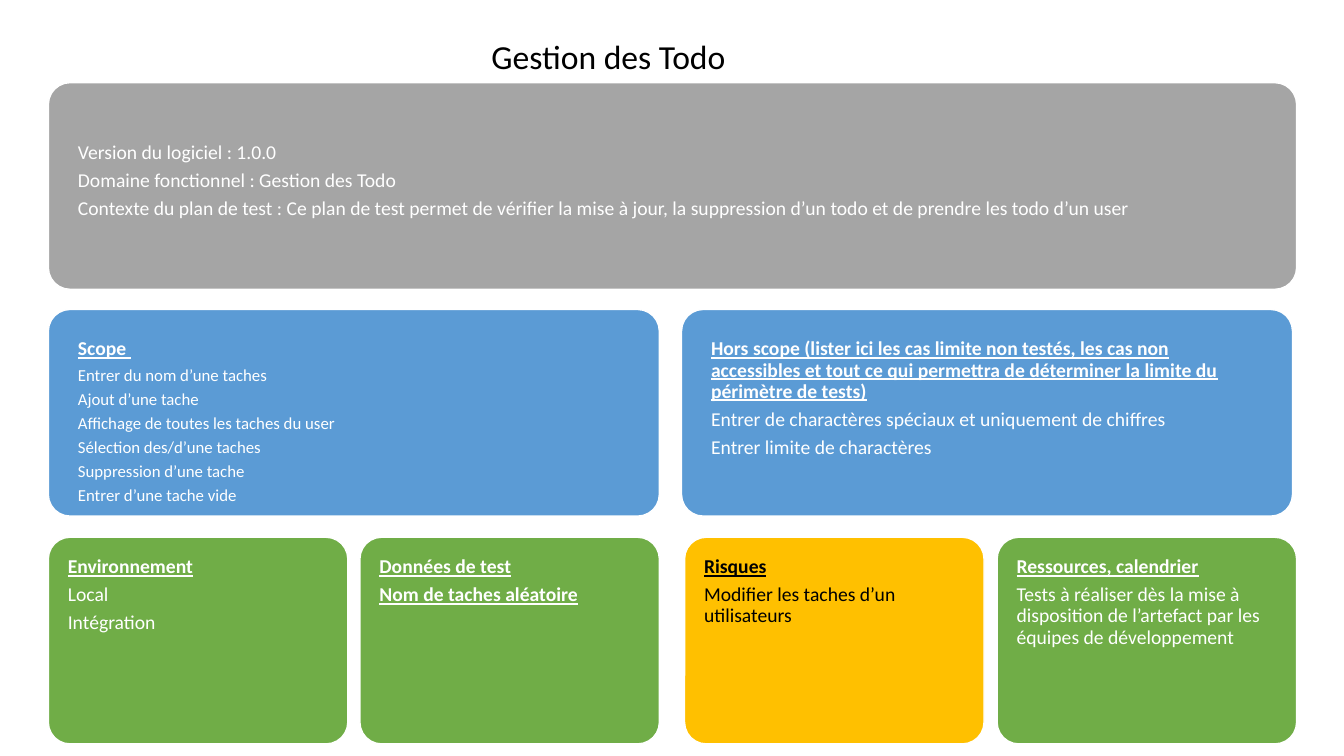
from dataclasses import dataclass

from pptx import Presentation
from pptx import util as u
from pptx.dml.color import RGBColor
from pptx.enum import shapes, text


@dataclass(frozen=True)
class Theme:
    font: str = "Calibri"
    white: str = "FFFFFF"
    black: str = "000000"
    grey: str = "A5A5A5"
    blue: str = "5B9BD5"
    green: str = "70AD47"
    amber: str = "FFC000"
    title_size: int = 24
    body_size: int = 14
    small_size: int = 12
    line_spacing: float = 0.9
    space_after: float = 0.35
    corner: float = 0.105


THEME = Theme()

LEFT = 0.48
CARD_HEIGHT = 2.05
BANNER_TOP, SCOPE_TOP, DETAIL_TOP = 0.82, 3.07, 5.33
BANNER_WIDTH, SCOPE_WIDTH, DETAIL_WIDTH = 12.38, 6.06, 2.97
SCOPE_LEFT = (LEFT, 6.76)
DETAIL_LEFT = (LEFT, 3.57, 6.79, 9.89)
WIDE_INSET, NARROW_INSET, BANNER_TOP_INSET = 0.23, 0.13, 0.53

BANNER_LINES = [
    "Version du logiciel : 1.0.0",
    "Domaine fonctionnel : Gestion des Todo",
    "Contexte du plan de test : Ce plan de test permet de vérifier la mise à jour, "
    "la suppression d’un todo et de prendre les todo d’un user",
]
SCOPE_LINES = [
    "Entrer du nom d’une taches",
    "Ajout d’une tache",
    "Affichage de toutes les taches du user",
    "Sélection des/d’une taches",
    "Suppression d’une tache",
    "Entrer d’une tache vide",
]
OUT_OF_SCOPE_HEADING = (
    "Hors scope (lister ici les cas limite non testés, les cas non accessibles "
    "et tout ce qui permettra de déterminer la limite du périmètre de tests)"
)
OUT_OF_SCOPE_LINES = [
    "Entrer de charactères spéciaux et uniquement de chiffres",
    "Entrer limite de charactères",
]
# Headings, body lines, fill and text colour of the bottom row
DETAILS = [
    (["Environnement"], ["Local", "Intégration"], THEME.green, THEME.white),
    (["Données de test", "Nom de taches aléatoire"], [], THEME.green, THEME.white),
    (["Risques"], ["Modifier les taches d’un utilisateurs"], THEME.amber, THEME.black),
    (["Ressources, calendrier"],
     ["Tests à réaliser dès la mise à disposition de l’artefact par les "
      "équipes de développement"], THEME.green, THEME.white),
]


def rgb(color):
    return RGBColor.from_string(color)


def style_paragraph(para, wording, size, color, heading=False):
    para.text = wording
    para.line_spacing = THEME.line_spacing
    para.space_after = u.Pt(size * THEME.space_after)
    para.font.name = THEME.font
    para.font.size = u.Pt(size)
    para.font.color.rgb = rgb(color)
    para.font.bold = heading
    para.font.underline = heading


def add_card(page, box, fill, headings, lines, inset, color=THEME.white,
             line_size=THEME.body_size, top_inset=None):
    """Rounded card with underlined headings above plain lines."""
    card = page.shapes.add_shape(shapes.MSO_SHAPE.ROUNDED_RECTANGLE,
                                 *map(u.Inches, box))
    card.adjustments[0] = THEME.corner
    card.shadow.inherit = False
    card.fill.solid()
    card.fill.fore_color.rgb = rgb(fill)
    card.line.color.rgb = rgb(THEME.white)
    card.line.width = u.Pt(1)

    frame = card.text_frame
    frame.word_wrap = True
    frame.vertical_anchor = text.MSO_ANCHOR.TOP
    frame.margin_left = frame.margin_right = frame.margin_bottom = u.Inches(inset)
    frame.margin_top = u.Inches(top_inset or inset)
    entries = [(heading, THEME.body_size, True) for heading in headings]
    entries += [(line, line_size, False) for line in lines]
    for index, (wording, size, heading) in enumerate(entries):
        para = frame.add_paragraph() if index else frame.paragraphs[0]
        para.alignment = text.PP_ALIGN.LEFT
        style_paragraph(para, wording, size, color, heading)


def add_title(page, box):
    frame = page.shapes.add_textbox(*map(u.Inches, box)).text_frame
    frame.word_wrap = True
    para = frame.paragraphs[0]
    para.alignment = text.PP_ALIGN.CENTER
    style_paragraph(para, "Gestion des Todo", THEME.title_size, THEME.black)


def add_scope_row(page, top):
    scope, out_of_scope = [(left, top, SCOPE_WIDTH, CARD_HEIGHT) for left in SCOPE_LEFT]
    add_card(page, scope, THEME.blue, ["Scope "], SCOPE_LINES, WIDE_INSET,
             line_size=THEME.small_size)
    add_card(page, out_of_scope, THEME.blue, [OUT_OF_SCOPE_HEADING],
             OUT_OF_SCOPE_LINES, WIDE_INSET)


def add_detail_row(page, top):
    for left, (headings, lines, fill, color) in zip(DETAIL_LEFT, DETAILS):
        add_card(page, (left, top, DETAIL_WIDTH, CARD_HEIGHT), fill, headings, lines,
                 NARROW_INSET, color)


def main():
    deck = Presentation()
    deck.slide_width, deck.slide_height = u.Inches(13.33), u.Inches(7.5)
    page = deck.slides.add_slide(deck.slide_layouts[6])
    add_card(page, (LEFT, BANNER_TOP, BANNER_WIDTH, CARD_HEIGHT), THEME.grey, [],
             BANNER_LINES, WIDE_INSET, top_inset=BANNER_TOP_INSET)
    add_scope_row(page, SCOPE_TOP)
    add_detail_row(page, DETAIL_TOP)
    add_title(page, (2.7, 0.35, 6.67, 0.46))
    deck.save("out.pptx")


if __name__ == "__main__":
    main()
